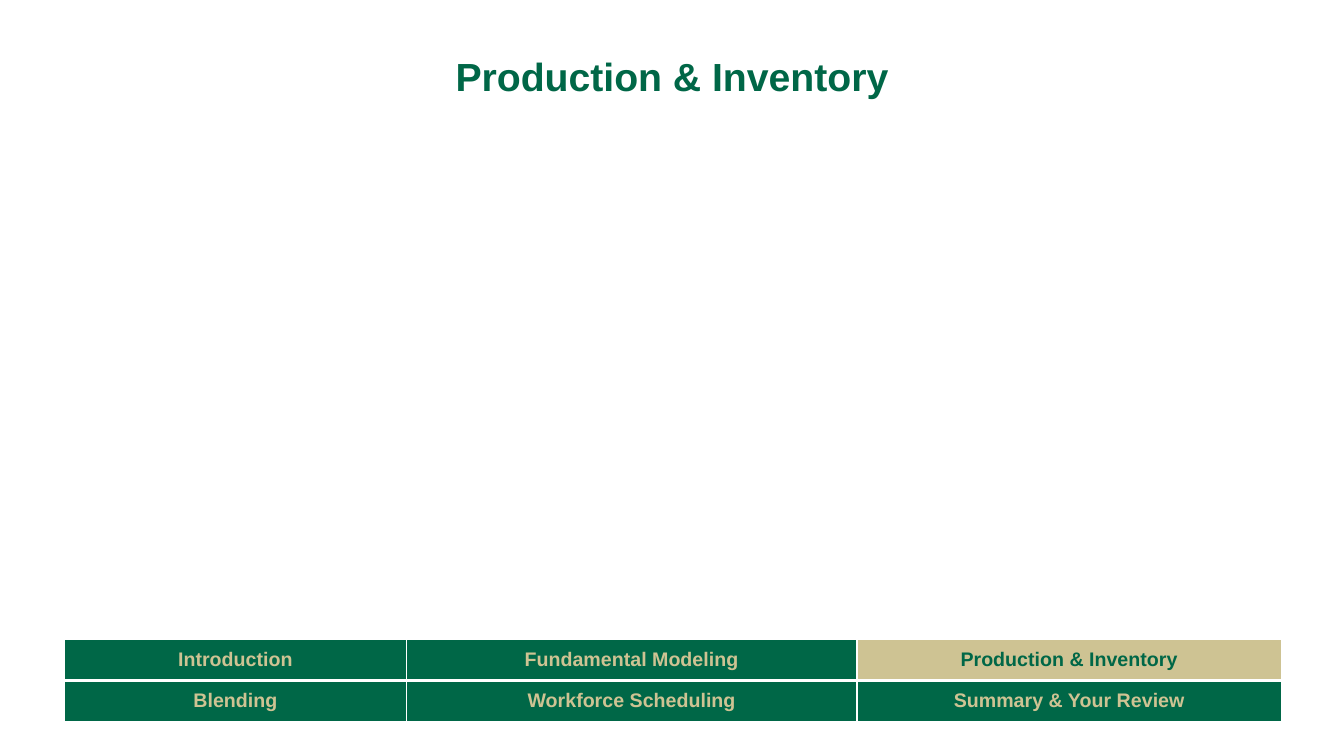
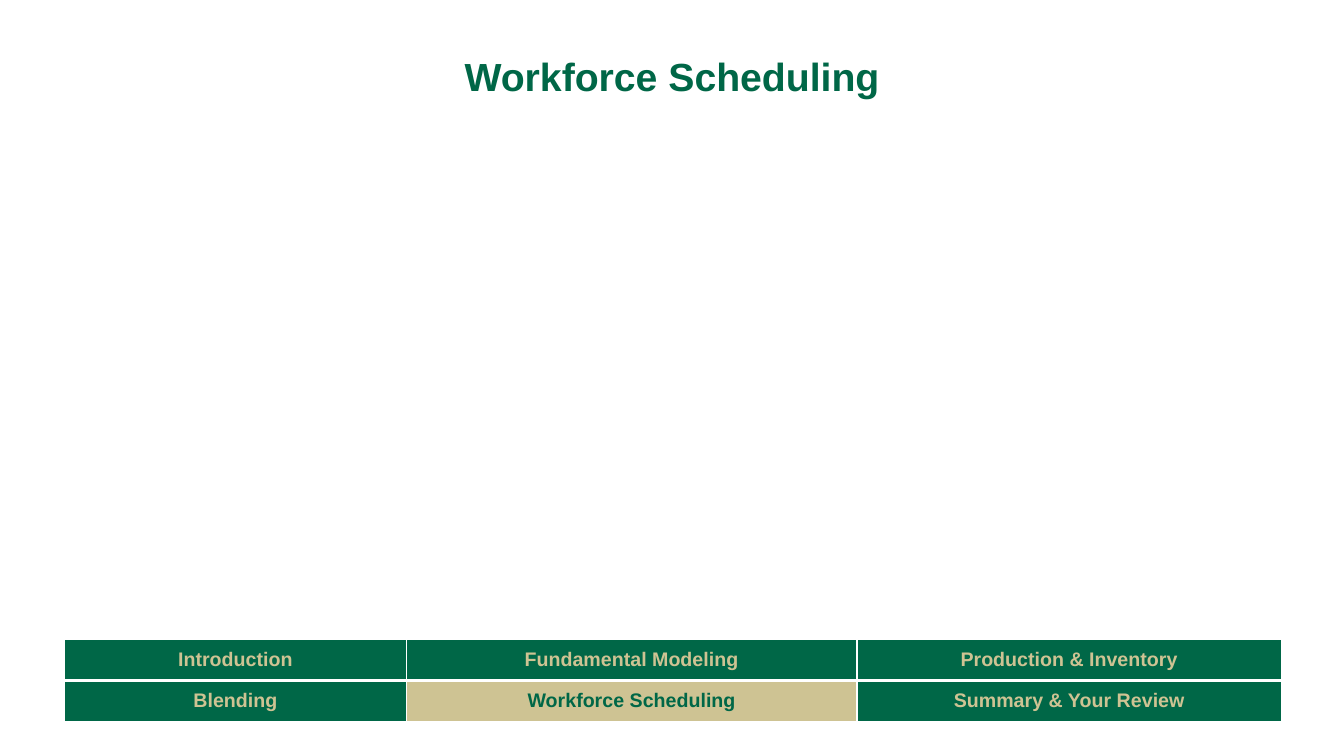
from lxml.etree import SubElement
from pptx import Presentation
from pptx.dml.color import RGBColor
from pptx.enum.text import MSO_ANCHOR, MSO_AUTO_SIZE, PP_ALIGN
from pptx.oxml.ns import qn
from pptx.util import Inches, Pt

GREEN, GOLD, WHITE = "006747", "CEC393", "FFFFFF"
FONT = "Arial"
TOPICS = [
    ["Introduction", "Fundamental Modeling", "Production & Inventory"],
    ["Blending", "Workforce Scheduling", "Summary & Your Review"],
]
WIDTHS = [3.39, 4.47, 4.21]
ROW = 0.41


def color(target, value):
    """Give a fill or font colour format a hex colour."""
    target.rgb = RGBColor.from_string(value)


def style(frame, size, value):
    """Centre the text of a frame and format its runs."""
    for par in frame.paragraphs:
        par.alignment = PP_ALIGN.CENTER
        for run in par.runs:
            run.font.name, run.font.size, run.font.bold = FONT, Pt(size), True
            color(run.font.color, value)


def border(cell, sides):
    """Draw white cell borders from a map of side to points."""
    props = cell._tc.get_or_add_tcPr()
    for side, width in sides.items():
        line = SubElement(props, qn(f"a:ln{side}"), w=str(Pt(width)))
        fill = SubElement(line, qn("a:solidFill"))
        SubElement(fill, qn("a:srgbClr"), val=WHITE)


def add_title(slide, text, left, top, width, height):
    """Place the slide title in its box."""
    title = slide.shapes.title
    title.left, title.top = Inches(left), Inches(top)
    title.width, title.height = Inches(width), Inches(height)
    frame = title.text_frame
    frame.text = text
    frame.auto_size = MSO_AUTO_SIZE.NONE
    frame.vertical_anchor = MSO_ANCHOR.TOP
    frame.margin_top = Inches(0.09)
    style(frame, 28, GREEN)


def add_nav(slide, current, left, top):
    """Place the topic table and highlight the current topic."""
    count = len(TOPICS)
    table = slide.shapes.add_table(
        count, len(WIDTHS), Inches(left), Inches(top),
        Inches(sum(WIDTHS)), Inches(ROW * count)).table
    table.first_row = table.horz_banding = False
    for col, width in zip(table.columns, WIDTHS):
        col.width = Inches(width)
    for i, names in enumerate(TOPICS):
        table.rows[i].height = Inches(ROW)
        above, below = (3 if i else 1), (3 if i < count - 1 else 1)
        for j, name in enumerate(names):
            cell = table.cell(i, j)
            back, ink = (GOLD, GREEN) if name == current else (GREEN, GOLD)
            cell.text_frame.text = name
            cell.vertical_anchor = MSO_ANCHOR.MIDDLE
            style(cell.text_frame, 14, ink)
            border(cell, {"L": 1, "R": 1, "T": above, "B": below})
            cell.fill.solid()
            color(cell.fill.fore_color, back)


def add_section(deck, topic):
    """Add a section slide for one topic."""
    slide = deck.slides.add_slide(deck.slide_layouts[5])
    add_title(slide, topic, 0.7, 0.43, 11.93, 0.9)
    add_nav(slide, topic, 0.64, 6.34)


def main():
    """Build and save the deck."""
    deck = Presentation()
    deck.slide_width, deck.slide_height = Inches(13.33), Inches(7.5)
    for topic in ("Production & Inventory", "Workforce Scheduling"):
        add_section(deck, topic)
    deck.save("out.pptx")


if __name__ == "__main__":
    main()
